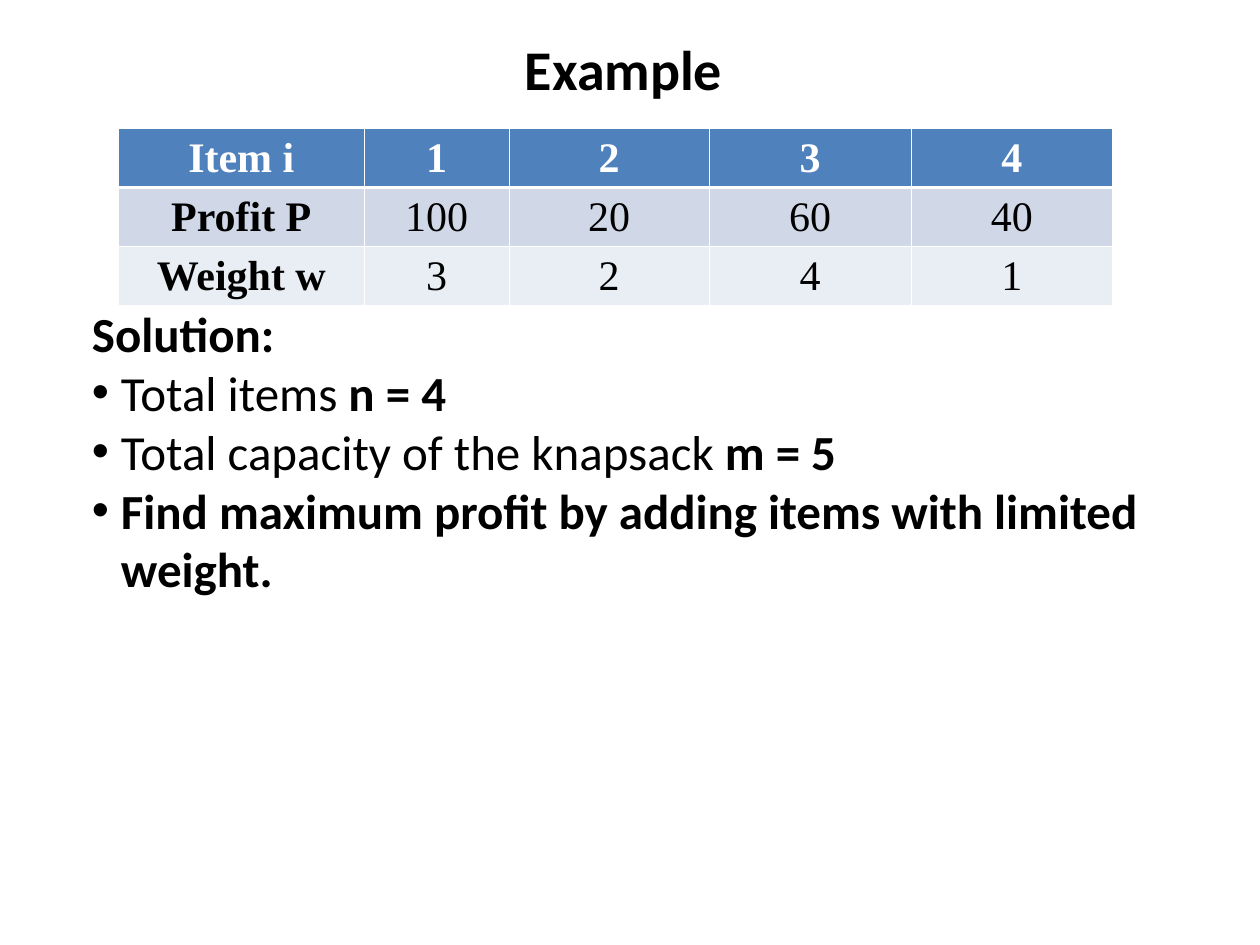
from lxml.etree import SubElement
from pptx import Presentation
from pptx.dml.color import RGBColor
from pptx.enum.text import MSO_ANCHOR as Anchor, MSO_AUTO_SIZE as AutoSize, PP_ALIGN as Align
from pptx.oxml.ns import qn
from pptx.util import Inches, Pt

ITEM_ROWS = [
    ["Item i", "1", "2", "3", "4"],
    ["Profit P", "100", "20", "60", "40"],
    ["Weight w", "3", "2", "4", "1"],
]
ROW_FILLS = ["4F81BD", "D0D8E8", "E9EDF4"]
COLUMN_WIDTHS = [1.95, 1.15, 1.59, 1.6, 1.6]
SOLUTION = [
    (False, [("Solution:", True)]),
    (True, [("Total items ", False), ("n = 4", True)]),
    (True, [("Total capacity of the knapsack ", False), ("m = 5", True)]),
    (True, [("Find maximum profit by adding items with limited weight.", True)]),
]


def color(value):
    return RGBColor.from_string(value)


def add_text(para, text, font="Calibri", size=28, fill="000000", bold=False):
    span = para.add_run()
    span.text = text
    span.font.name = font
    span.font.size = Pt(size)
    span.font.bold = bold
    span.font.color.rgb = color(fill)


def set_bullet(para, bulleted, indent=0.23):
    props = para._p.get_or_add_pPr()
    hang = Inches(indent) if bulleted else 0
    props.set("marL", str(hang))
    props.set("indent", str(-hang))
    if bulleted:
        SubElement(props, qn("a:buFont"), typeface="Arial")
        SubElement(props, qn("a:buChar"), char="•")
    else:
        SubElement(props, qn("a:buNone"))


def add_border(cell, side, width, line="FFFFFF"):
    props = cell._tc.get_or_add_tcPr()
    border = SubElement(props, qn(f"a:ln{side}"), w=str(Pt(width)))
    solid = SubElement(border, qn("a:solidFill"))
    SubElement(solid, qn("a:srgbClr"), val=line)


class SlideBuilder:
    title_size = 32
    table_font = "Times New Roman"
    table_size = 24
    thin, thick = 0.45, 1.47

    def __init__(self, deck):
        self.page = deck.slides.add_slide(deck.slide_layouts[1])

    def place(self, box, left, top, width, height, anchor):
        box.left, box.top = Inches(left), Inches(top)
        box.width, box.height = Inches(width), Inches(height)
        frame = box.text_frame
        frame.auto_size = AutoSize.NONE
        frame.word_wrap = True
        frame.vertical_anchor = anchor
        return frame

    def title(self, text, *area):
        frame = self.place(self.page.shapes.title, *area, Anchor.MIDDLE)
        para = frame.paragraphs[0]
        para.alignment = Align.CENTER
        add_text(para, text, size=self.title_size, bold=True)

    def body(self, lines, *area):
        frame = self.place(self.page.placeholders[1], *area, Anchor.TOP)
        for index, (bulleted, spans) in enumerate(lines):
            para = frame.add_paragraph() if index else frame.paragraphs[0]
            para.alignment = Align.LEFT
            para.space_before = Pt(0)
            set_bullet(para, bulleted)
            for text, bold in spans:
                add_text(para, text, bold=bold)

    def table(self, rows, widths, fills, left, top, row_height):
        frame = self.page.shapes.add_table(
            len(rows), len(widths), Inches(left), Inches(top),
            Inches(sum(widths)), Inches(row_height * len(rows)))
        table = frame.table
        for column, width in zip(table.columns, widths):
            column.width = Inches(width)
        for row, values in enumerate(rows):
            for column, value in enumerate(values):
                self.cell(table.cell(row, column), value, fills[row], row, column)

    def cell(self, cell, text, fill, row, column):
        cell.margin_left = cell.margin_right = Inches(0.01)
        cell.margin_top = cell.margin_bottom = Inches(0.05)
        cell.vertical_anchor = Anchor.MIDDLE
        for side in "LRTB":
            under_header = (side, row) in (("B", 0), ("T", 1))
            add_border(cell, side, self.thick if under_header else self.thin)
        cell.fill.solid()
        cell.fill.fore_color.rgb = color(fill)
        para = cell.text_frame.paragraphs[0]
        para.alignment = Align.CENTER
        add_text(para, text, font=self.table_font, size=self.table_size,
                 fill="000000" if row else "FFFFFF", bold=row == 0 or column == 0)


def main():
    deck = Presentation()
    deck.slide_width, deck.slide_height = Inches(10), Inches(7.5)
    slide = SlideBuilder(deck)
    slide.title("Example ", 0.5, 0.3, 9, 0.48)
    slide.table(ITEM_ROWS, COLUMN_WIDTHS, ROW_FILLS, 0.94, 1.02, 0.42)
    slide.body(SOLUTION, 0.63, 2.36, 9.06, 2.9)
    deck.save("out.pptx")


if __name__ == "__main__":
    main()
